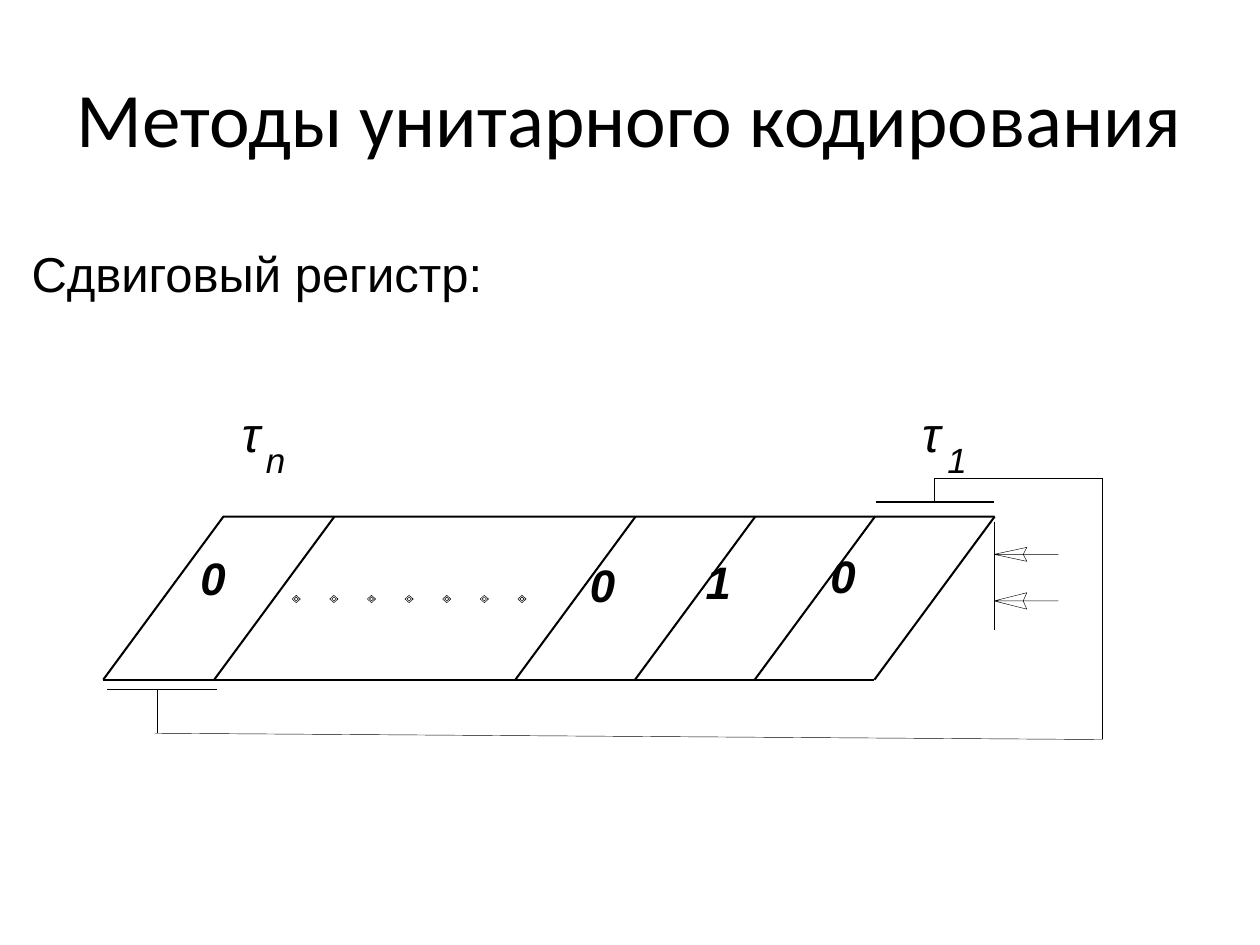
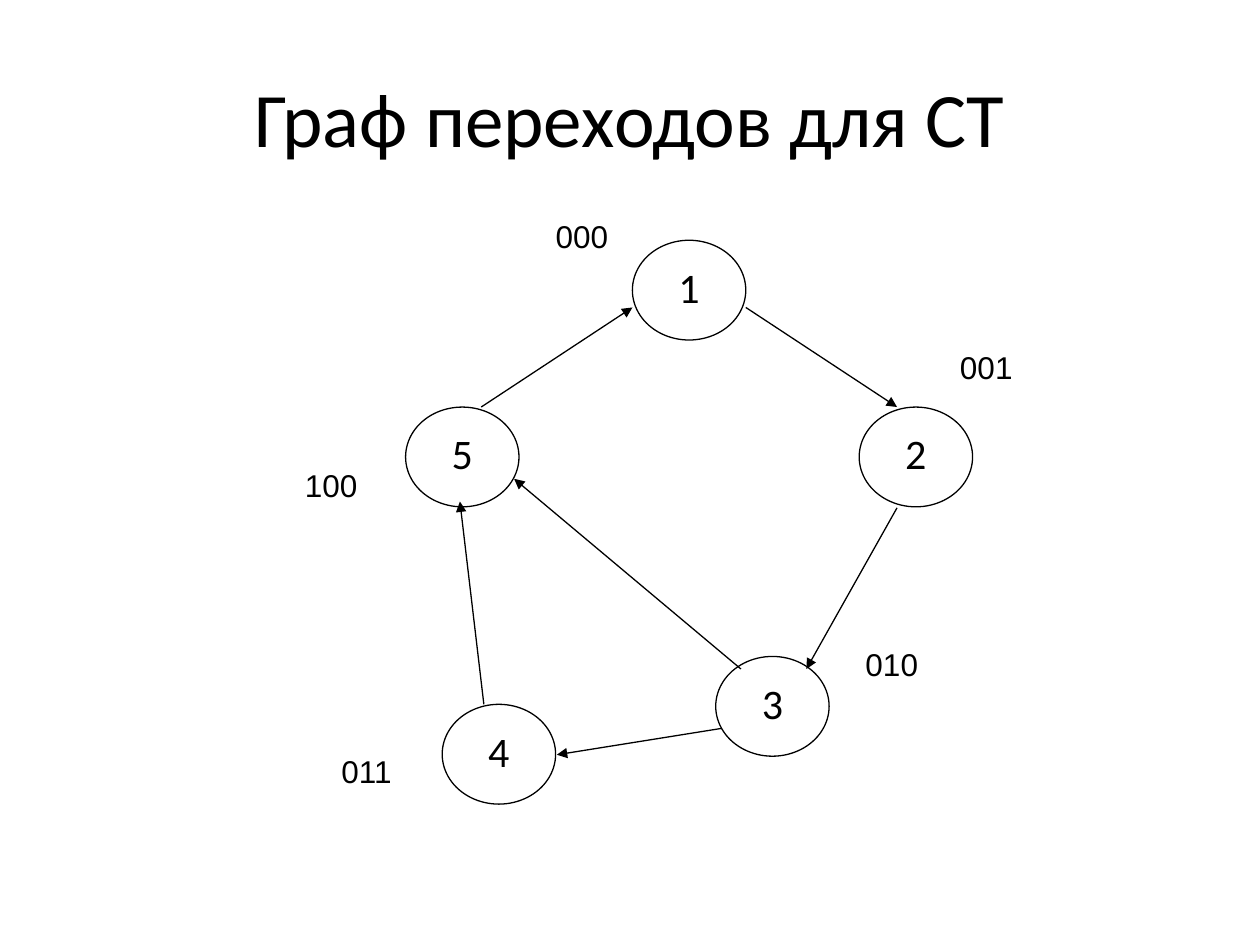
from dataclasses import dataclass

from lxml import etree
from pptx import Presentation, util as u
from pptx.dml.color import RGBColor
from pptx.enum import shapes, text
from pptx.oxml import ns
from pptx.shapes.base import BaseShape
from pptx.slide import Slide
from pptx.text.text import TextFrame

Point = tuple[float, float]


@dataclass(frozen=True)
class Theme:
    ink: RGBColor = RGBColor(0x00, 0x00, 0x00)
    paper: RGBColor = RGBColor(0xFF, 0xFF, 0xFF)
    heading_font: str = "Calibri"
    label_font: str = "Arial"
    title_size: float = 44
    lead_size: float = 28
    digit_size: float = 26
    node_size: float = 24
    index_size: float = 20
    code_size: float = 18
    heavy: float = 1.16
    medium: float = 0.75
    fine: float = 0.25


@dataclass(frozen=True)
class Label:
    words: str
    left: float
    top: float
    width: float
    height: float
    size: float
    bold: bool = False
    italic: bool = False


@dataclass(frozen=True)
class Segment:
    start: Point
    end: Point
    weight: float
    arrow: bool = False


@dataclass(frozen=True)
class Node:
    name: str
    left: float
    top: float
    code: str
    code_left: float
    code_top: float


THEME = Theme()

# Shift register: slanted cells between two horizontal edges
REGISTER_TOP, REGISTER_BOTTOM = 295.2, 388.4
SLANT = 68.7
REGISTER_LEFT, REGISTER_RIGHT = 59, 499.7
CELL_WIDTH = 68.4
CELL_EDGES = [122.4] + [REGISTER_RIGHT - CELL_WIDTH * step for step in (3, 2, 1, 0)]
INPUT_X = 568.1

DOT_COUNT, DOT_LEFT, DOT_STEP, DOT_Y = 7, 169.3, 21.5, 342.3

REGISTER_LABELS = [
    Label("Сдвиговый регистр:", 18, 139, 276, 41, THEME.lead_size),
    *(Label(digit, left, top, 43, 31, THEME.digit_size, bold=True, italic=True)
      for digit, left, top in [("0", 114.5, 314.6), ("0", 337, 318.2),
                               ("1", 403.2, 316.8), ("0", 474.5, 313.2)]),
    *(Label("τ", left, 230.4, 20, 34, THEME.lead_size, italic=True)
      for left in (138.2, 527)),
    *(Label(index, left, 250.3, 25, 24, THEME.index_size, italic=True)
      for index, left in [("n", 151.9), ("1", 541.4)]),
]

FEEDBACK_LINES = [
    Segment((123.8, 393.8), (61.2, 393.8), THEME.fine),
    Segment((90, 419), (90, 393.8), THEME.fine),
    Segment((88.6, 419), (630, 422.6), THEME.fine),
    Segment((630, 274), (630, 422.3), THEME.fine),
    Segment((INPUT_X, 298.1), (INPUT_X, 360), THEME.medium),
    Segment((534.2, 273.6), (630, 273.6), THEME.medium),
    Segment((500.4, 286.9), (INPUT_X, 286.9), THEME.medium),
    Segment((534.2, 273.2), (534.2, 287), THEME.medium),
]

NODE_WIDTH, NODE_HEIGHT = 64.8, 57
NODES = [
    Node("1", 361.4, 137.3, "000", 317.5, 123.8),
    Node("2", 491, 232.6, "001", 548.6, 198.7),
    Node("5", 231.8, 232.6, "100", 174.2, 266.4),
    Node("3", 409, 375.1, "010", 494.6, 368.6),
    Node("4", 252.7, 402.5, "011", 195.1, 429.8),
]
TRANSITIONS = [
    Segment(start, end, THEME.medium, arrow=True)
    for start, end in [
        ((426.2, 175.7), (512.6, 232.6)),
        ((275, 232.6), (361.4, 175.7)),
        ((423.4, 382.3), (293.8, 273.6)),
        ((412.6, 416.2), (318.2, 431.3)),
        ((276.5, 402.5), (262.8, 286.6)),
        ((512.6, 290.2), (460.8, 382.3)),
    ]
]


def format_text(frame: TextFrame, size: float, font: str,
                bold: bool = False, italic: bool = False) -> None:
    for para in frame.paragraphs:
        for span in para.runs:
            span.font.size = u.Pt(size)
            span.font.name = font
            span.font.bold = bold
            span.font.italic = italic
            span.font.color.rgb = THEME.ink


def set_margins(frame: TextFrame, across: float = 0, down: float = 0) -> None:
    frame.margin_left = frame.margin_right = u.Pt(across)
    frame.margin_top = frame.margin_bottom = u.Pt(down)


def add_titled_slide(deck, title: str) -> Slide:
    page = deck.slides.add_slide(deck.slide_layouts[5])
    box = page.shapes.title
    box.left, box.top, box.width, box.height = map(u.Pt, (36, 21.6, 648, 90))
    frame = box.text_frame
    frame.text = title
    frame.vertical_anchor = text.MSO_ANCHOR.MIDDLE
    frame.paragraphs[0].alignment = text.PP_ALIGN.CENTER
    format_text(frame, THEME.title_size, THEME.heading_font)
    return page


def add_label(page: Slide, label: Label) -> None:
    box = page.shapes.add_textbox(
        *map(u.Pt, (label.left, label.top, label.width, label.height)))
    frame = box.text_frame
    frame.word_wrap = True
    set_margins(frame)
    frame.text = label.words
    format_text(frame, label.size, THEME.label_font, label.bold, label.italic)


def set_outline(shape: BaseShape, weight: float) -> None:
    shape.line.color.rgb = THEME.ink
    shape.line.width = u.Pt(weight)


def add_segment(page: Slide, segment: Segment) -> None:
    line = page.shapes.add_connector(
        shapes.MSO_CONNECTOR.STRAIGHT, *map(u.Pt, segment.start + segment.end))
    set_outline(line, segment.weight)
    properties = line._element.spPr
    if segment.arrow:
        outline = properties.find(ns.qn("a:ln"))
        etree.SubElement(outline, ns.qn("a:tailEnd"), type="triangle")
    etree.SubElement(properties, ns.qn("a:effectLst"))


def add_open_path(page: Slide, points: list[Point], weight: float) -> None:
    first, *rest = [(u.Pt(x), u.Pt(y)) for x, y in points]
    builder = page.shapes.build_freeform(*first)
    builder.add_line_segments(rest, close=False)
    path = builder.convert_to_shape()
    path.shadow.inherit = False
    path.fill.background()
    set_outline(path, weight)


def diamond(x: float, y: float, across: float, down: float) -> list[Point]:
    return [(x + across, y), (x, y - down), (x - across, y),
            (x, y + down), (x + across, y)]


def add_input_arrow(page: Slide, y: float, spread: float) -> None:
    """Draw a notched arrowhead and its shaft, pointing left at the register."""
    tip = (INPUT_X, y)
    barb = INPUT_X + 18.7
    add_open_path(page, [tip, (barb, y - spread), (INPUT_X + 16.6, y),
                         (barb, y + spread), tip, (INPUT_X + 36.7, y)], THEME.fine)


def add_node(page: Slide, node: Node) -> None:
    circle = page.shapes.add_shape(
        shapes.MSO_SHAPE.OVAL,
        *map(u.Pt, (node.left, node.top, NODE_WIDTH, NODE_HEIGHT)))
    circle.shadow.inherit = False
    circle.fill.solid()
    circle.fill.fore_color.rgb = THEME.paper
    set_outline(circle, THEME.medium)
    frame = circle.text_frame
    set_margins(frame, 7.2, 3.6)
    frame.vertical_anchor = text.MSO_ANCHOR.TOP
    frame.text = node.name
    frame.paragraphs[0].alignment = text.PP_ALIGN.CENTER
    frame.paragraphs[0].space_after = u.Pt(10)
    format_text(frame, THEME.node_size, THEME.heading_font)


def build_register_slide(deck) -> None:
    page = add_titled_slide(deck, "Методы унитарного кодирования")
    add_segment(page, Segment((REGISTER_LEFT, REGISTER_BOTTOM),
                              (REGISTER_RIGHT, REGISTER_BOTTOM), THEME.heavy))
    add_open_path(page, [(REGISTER_LEFT, REGISTER_BOTTOM),
                         (REGISTER_LEFT + SLANT, REGISTER_TOP),
                         (REGISTER_RIGHT + SLANT, REGISTER_TOP)], THEME.heavy)
    for x in CELL_EDGES:
        add_segment(page, Segment((x, REGISTER_BOTTOM),
                                  (x + SLANT, REGISTER_TOP), THEME.heavy))
    for index in range(DOT_COUNT):
        x = DOT_LEFT + index * DOT_STEP
        add_open_path(page, diamond(x, DOT_Y, 1.2, 1.1) + diamond(x, DOT_Y, 2.4, 2.1),
                      THEME.fine)
    for label in REGISTER_LABELS:
        add_label(page, label)
    add_input_arrow(page, 343.4, 4.7)
    add_input_arrow(page, 316.8, 4)
    for segment in FEEDBACK_LINES:
        add_segment(page, segment)


def build_graph_slide(deck) -> None:
    page = add_titled_slide(deck, "Граф переходов для СТ")
    for node in NODES:
        add_node(page, node)
    for transition in TRANSITIONS:
        add_segment(page, transition)
    for node in NODES:
        add_label(page, Label(node.code, node.code_left, node.code_top,
                              41, 21.6, THEME.code_size))


def main() -> None:
    deck = Presentation()
    deck.slide_width, deck.slide_height = u.Pt(720), u.Pt(540)
    build_register_slide(deck)
    build_graph_slide(deck)
    deck.save("out.pptx")


if __name__ == "__main__":
    main()
